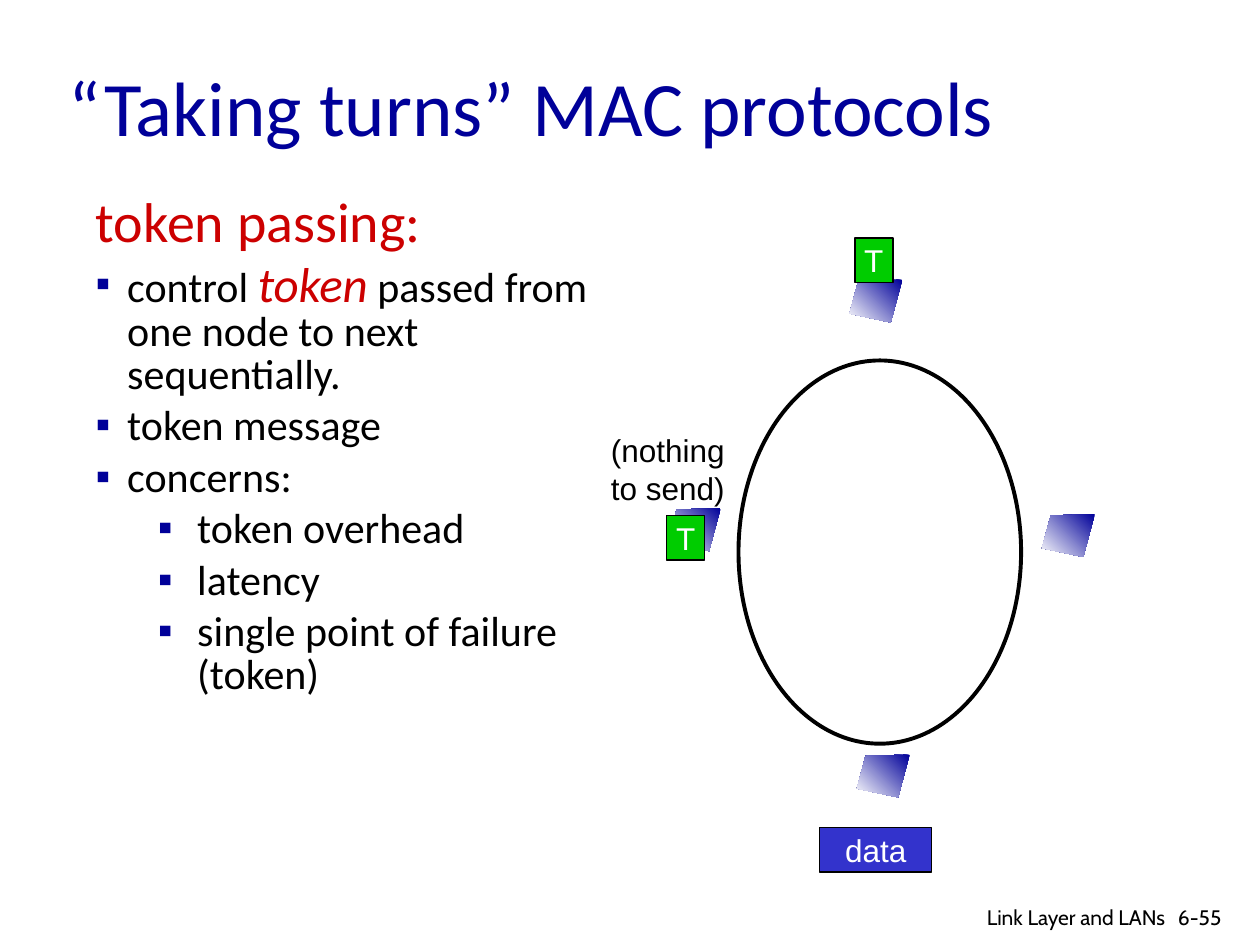
from dataclasses import dataclass

from lxml.etree import SubElement
from pptx import Presentation
from pptx.dml.color import RGBColor
from pptx.enum.shapes import MSO_SHAPE
from pptx.enum.text import MSO_ANCHOR, MSO_AUTO_SIZE, PP_ALIGN
from pptx.oxml.ns import qn
from pptx.util import Pt


@dataclass(frozen=True)
class Theme:
    """Colours, fonts and type sizes of the slide."""
    navy: str = "000099"
    red: str = "CC0000"
    green: str = "00CC00"
    blue: str = "3333CC"
    black: str = "000000"
    white: str = "FFFFFF"
    heading_font: str = "Calibri"
    label_font: str = "Arial"
    footer_font: str = "Cabin"
    title: int = 44
    lead: int = 32
    term: int = 28
    body: int = 24
    label: int = 18
    footer: int = 12


class SlideBuilder:
    """Draws each kind of element on the current slide in one style."""

    def __init__(self, slide, theme):
        self.slide = slide
        self.theme = theme

    def style(self, run, font, size, color, italic=False):
        """Format one run."""
        run.font.name = font
        run.font.size = Pt(size)
        run.font.color.rgb = RGBColor.from_string(color)
        run.font.italic = italic

    def place(self, holder, bounds):
        """Move a placeholder to bounds given in points."""
        holder.left, holder.top, holder.width, holder.height = map(Pt, bounds)

    def title(self, wording, bounds):
        """Fill the title placeholder."""
        heading = self.slide.shapes.title
        self.place(heading, bounds)
        heading.text_frame.text = wording
        heading.text_frame.vertical_anchor = MSO_ANCHOR.MIDDLE
        line = heading.text_frame.paragraphs[0]
        line.alignment = PP_ALIGN.LEFT
        self.style(line.runs[0], self.theme.heading_font, self.theme.title, self.theme.navy)

    def bullet(self, paragraph, level, margin, hanging, marked):
        """Set the indent, the spacing and the square bullet of a paragraph."""
        paragraph.level = level
        properties = paragraph._p.get_or_add_pPr()
        properties.set("marL", str(Pt(margin)))
        properties.set("indent", str(-Pt(hanging)))
        if marked:
            color = SubElement(properties, qn("a:buClr"))
            SubElement(color, qn("a:srgbClr"), val=self.theme.navy)
            SubElement(properties, qn("a:buChar"), char="▪")
        else:
            SubElement(properties, qn("a:buNone"))
        paragraph.line_spacing = 0.85

    def outline(self, lead, points, bounds):
        """Fill the body placeholder with a lead line and its points."""
        theme = self.theme
        holder = self.slide.placeholders[1]
        self.place(holder, bounds)
        frame = holder.text_frame
        frame.auto_size = MSO_AUTO_SIZE.NONE
        frame.text = lead
        opening = frame.paragraphs[0]
        self.bullet(opening, 0, 27, 27, False)
        opening.space_before = Pt(0)
        self.style(opening.runs[0], theme.heading_font, theme.lead, theme.red)
        for level, pieces in points:
            point = frame.add_paragraph()
            margin, hanging = ((18, 18), (58, 22.5))[level]
            self.bullet(point, level, margin, hanging, True)
            point.space_before = Pt(4.9)
            for wording, is_term in pieces:
                run = point.add_run()
                run.text = wording
                size, color = (theme.term, theme.red) if is_term else (theme.body, theme.black)
                self.style(run, theme.heading_font, size, color, is_term)

    def node(self, left, top):
        """Draw a station as a shaded quadrilateral."""
        corners = [(30.24, 0), (5.04, 0.72), (0, 19.44), (23.6, 24.48)]
        start, *others = [(Pt(left + x), Pt(top + y)) for x, y in corners]
        builder = self.slide.shapes.build_freeform(*start)
        builder.add_line_segments(others, close=True)
        station = builder.convert_to_shape()
        station.shadow.inherit = False
        station.line.fill.background()
        station.fill.gradient()
        station.fill.gradient_angle = 225
        for stop, color in zip(station.fill.gradient_stops, (self.theme.navy, self.theme.white)):
            stop.color.rgb = RGBColor.from_string(color)

    def outlined(self, kind, bounds, weight):
        """Add a preset shape with a black outline."""
        shape = self.slide.shapes.add_shape(kind, *map(Pt, bounds))
        shape.shadow.inherit = False
        shape.line.color.rgb = RGBColor.from_string(self.theme.black)
        shape.line.width = Pt(weight)
        return shape

    def ring(self, bounds):
        """Draw the hollow ring that links the stations."""
        self.outlined(MSO_SHAPE.OVAL, bounds, 2.25).fill.background()

    def packet(self, wording, color, bounds):
        """Draw a filled box with a white label."""
        box = self.outlined(MSO_SHAPE.RECTANGLE, bounds, 0.75)
        box.fill.solid()
        box.fill.fore_color.rgb = RGBColor.from_string(color)
        frame = box.text_frame
        frame.word_wrap = False
        frame.vertical_anchor = MSO_ANCHOR.MIDDLE
        frame.text = wording
        frame.paragraphs[0].alignment = PP_ALIGN.CENTER
        self.style(frame.paragraphs[0].runs[0], self.theme.label_font, self.theme.label, self.theme.white)

    def caption(self, wording, bounds, font, size, align=PP_ALIGN.LEFT):
        """Add plain black text."""
        frame = self.slide.shapes.add_textbox(*map(Pt, bounds)).text_frame
        frame.word_wrap = True
        frame.text = wording
        for line in frame.paragraphs:
            line.alignment = align
            self.style(line.runs[0], font, size, self.theme.black)


def main():
    """Build the token passing slide."""
    theme = Theme()
    deck = Presentation()
    deck.slide_width, deck.slide_height = Pt(720), Pt(540)
    page = SlideBuilder(deck.slides.add_slide(deck.slide_layouts[1]), theme)

    page.title("“Taking turns” MAC protocols", (32, 15.5, 612, 90))
    page.outline(
        "token passing:",
        [
            (0, [("control ", False), ("token", True),
                 (" passed from one node to next sequentially.", False)]),
            (0, [("token message", False)]),
            (0, [("concerns:", False)]),
            (1, [("token overhead", False)]),
            (1, [("latency", False)]),
            (1, [("single point of failure (token)", False)]),
        ],
        (47.5, 108.75, 296, 366),
    )

    for left, top in [(595.4, 293.8), (381.6, 290.4), (485.4, 159.8), (489.6, 431.2)]:
        page.node(left, top)
    page.ring((422, 206, 161.5, 219))
    for left, top in [(488.5, 136), (381, 294.75)]:
        page.packet("T", theme.green, (left, top, 21.75, 25.25))
    page.packet("data", theme.blue, (468.5, 473, 64, 25.25))
    page.caption("(nothing\nto send)", (342, 242.75, 86, 50.5),
                 theme.label_font, theme.label)

    page.caption("6-55", (666, 513.5, 43, 21.5), theme.footer_font, theme.footer)
    page.caption("Link Layer and LANs", (502, 513.5, 171, 19),
                 theme.footer_font, theme.footer, PP_ALIGN.RIGHT)
    deck.save("out.pptx")


if __name__ == "__main__":
    main()
